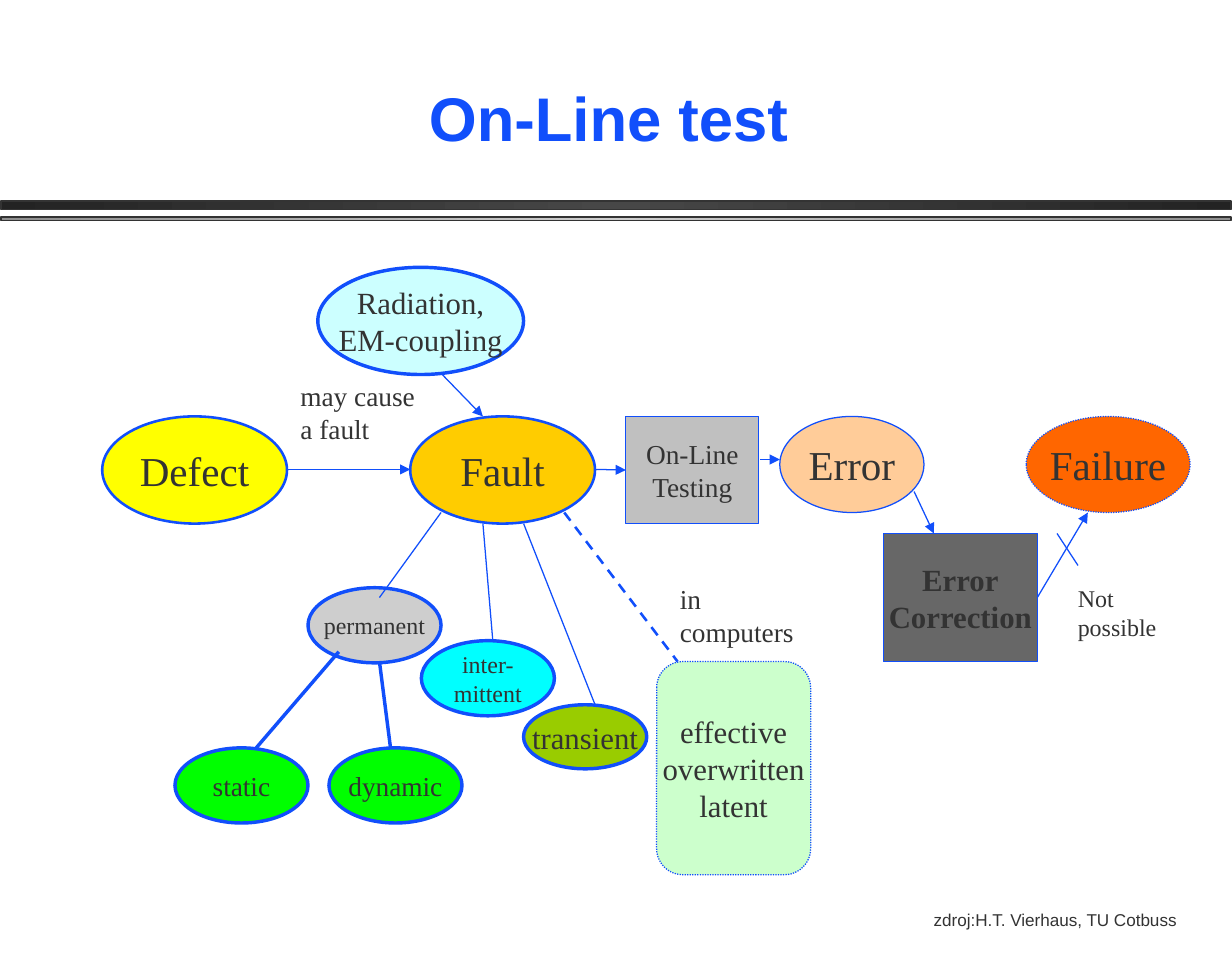
"""Build the On-Line test slide: a chain from defect to failure with kinds of fault."""
from lxml import etree
from pptx import Presentation
from pptx.dml.color import RGBColor
from pptx.enum.dml import MSO_LINE
from pptx.enum.shapes import MSO_CONNECTOR, MSO_SHAPE
from pptx.enum.text import MSO_ANCHOR, PP_ALIGN
from pptx.oxml.ns import qn
from pptx.util import Inches, Pt

OVAL, RECT, ROUNDED = MSO_SHAPE.OVAL, MSO_SHAPE.RECTANGLE, MSO_SHAPE.ROUNDED_RECTANGLE
STRAIGHT = MSO_CONNECTOR.STRAIGHT
DOT, DASH = MSO_LINE.ROUND_DOT, MSO_LINE.DASH
LEFT, CENTER = PP_ALIGN.LEFT, PP_ALIGN.CENTER
TOP, MIDDLE, BOTTOM = MSO_ANCHOR.TOP, MSO_ANCHOR.MIDDLE, MSO_ANCHOR.BOTTOM
LEFT_SIDE, RIGHT_SIDE = 1, 3
BLUE, INK = "114FFB", "333333"
SERIF, SANS = "Times New Roman", "Arial"

TITLE = "On-Line test"
BANDS = [(1.63, 0.07, "232323", "474747"), (1.76, 0.03, "909090", "CECECE")]

BIG, SMALL = (1.5, 0.87), (1.08, 0.61)
NODES = [
    (["Defect"], OVAL, (0.83, 3.38), BIG, "FFFF00", 1.5, None, 24),
    (["Fault"], OVAL, (3.33, 3.38), BIG, "FFCC00", 1.5, None, 24),
    (["permanent"], OVAL, (2.5, 4.77), SMALL, "CECECE", 2, None, 14),
    (["inter-", "mittent"], OVAL, (3.42, 5.2), SMALL, "00FFFF", 2, None, 14),
    (["static"], OVAL, (1.42, 6.07), SMALL, "00FF00", 2, None, 16),
    (["dynamic"], OVAL, (2.67, 6.07), SMALL, "00FF00", 2, None, 16),
    (["Failure"], OVAL, (8.33, 3.38), (1.33, 0.78), "FF6600", 0.75, DOT, 24),
    (["effective", "overwritten", "latent"], ROUNDED, (5.33, 5.37), (1.25, 1.73),
     "CCFFCC", 0.75, DOT, 18),
    (["Radiation,", "EM-coupling"], OVAL, (2.58, 2.17), (1.67, 0.87), "CCFFFF", 2, None, 18),
    (["transient"], OVAL, (4.25, 5.72), (1, 0.52), "99CC00", 2, None, 18),
    (["On-Line", "Testing"], RECT, (5.08, 3.38), (1.08, 0.87), "C0C0C0", 0.75, None, 16),
    (["Error", "Correction"], RECT, (7.17, 4.33), (1.25, 1.04), "676767", 0.75, None, 18),
    (["Error"], OVAL, (6.33, 3.38), (1.17, 0.78), "FFCC99", 0.75, None, 24),
]
BOLD_NODE = "Error Correction"

ARROWS = [
    ((2.33, 3.81), (3.33, 3.81)),
    ((3.58, 3.03), (3.92, 3.38)),
    ((6.17, 3.73), (6.33, 3.73)),
    ((7.42, 3.99), (7.58, 4.33)),
]
LINES = [
    ((3.58, 4.16), (3.08, 4.85), 0.75, None),
    ((3.92, 4.25), (4, 5.2), 0.75, None),
    ((4.25, 4.25), (4.83, 5.72), 0.75, None),
    ((2.75, 5.29), (2.08, 6.07), 2, None),
    ((3.08, 5.37), (3.17, 6.07), 2, None),
    ((4.58, 4.16), (5.5, 5.37), 1.5, DASH),
    ((8.58, 4.33), (8.75, 4.59), 0.75, None),
]
LABELS = [
    (["may cause", "a fault"], (2.34, 3.03), (1.13, 0.64), 16, SERIF),
    (["in", "computers"], (5.42, 4.68), (1.12, 0.64), 16, SERIF),
    (["Not", "possible"], (8.65, 4.69), (0.84, 0.57), 14, SERIF),
    (["zdroj:H.T. Vierhaus, TU Cotbuss"], (7.48, 7.33), (2.52, 0.47), 10, SANS),
]


def color(value):
    return RGBColor.from_string(value)


def write(frame, rows, size, font=SERIF, ink=INK, align=CENTER, anchor=MIDDLE, bold=False):
    frame.word_wrap = False
    frame.vertical_anchor = anchor
    for number, row in enumerate(rows):
        para = frame.add_paragraph() if number else frame.paragraphs[0]
        para.alignment = align
        span = para.add_run()
        span.text = row
        span.font.name, span.font.size, span.font.bold = font, Pt(size), bold
        span.font.color.rgb = color(ink)


def style_line(line, width, dash=None, ink=BLUE):
    line.color.rgb = color(ink)
    line.width = Pt(width)
    if dash:
        line.dash_style = dash


def add_band(page, top, height, edge, middle):
    band = page.shapes.add_shape(RECT, Inches(0.01), Inches(top), Inches(9.98), Inches(height))
    band.shadow.inherit = False
    style_line(band.line, 1, ink=INK)
    band.fill.gradient()
    band.fill.gradient_angle = 0
    stops = band.element.spPr.find(".//" + qn("a:gsLst"))
    for stop in list(stops):
        stops.remove(stop)
    for position, value in ((0, edge), (50000, middle), (100000, edge)):
        stop = etree.SubElement(stops, qn("a:gs"), pos=str(position))
        etree.SubElement(stop, qn("a:srgbClr"), val=value)


def add_node(page, rows, kind, place, extent, fill, width, dash, size):
    node = page.shapes.add_shape(kind, *map(Inches, place + extent))
    node.shadow.inherit = False
    node.fill.solid()
    node.fill.fore_color.rgb = color(fill)
    style_line(node.line, width, dash)
    if kind == ROUNDED:
        node.adjustments[0] = 0.17
    write(node.text_frame, rows, size, bold=" ".join(rows) == BOLD_NODE)
    return node


def add_line(page, start, end, width=0.75, dash=None, arrow=False):
    link = page.shapes.add_connector(STRAIGHT, *map(Inches, start + end))
    style_line(link.line, width, dash)
    if arrow:
        etree.SubElement(link.line._get_or_add_ln(), qn("a:tailEnd"), type="triangle")
    etree.SubElement(link.element.spPr, qn("a:effectLst"))
    return link


def main():
    deck = Presentation()
    deck.slide_width, deck.slide_height = Inches(10), Inches(7.8)
    page = deck.slides.add_slide(deck.slide_layouts[5])

    for band in BANDS:
        add_band(page, *band)

    title = page.shapes.title
    title.left, title.top, title.width, title.height = map(Inches, (0.69, 0, 8.5, 1.3))
    write(title.text_frame, [TITLE], 36, SANS, BLUE, anchor=BOTTOM, bold=True)

    nodes = {" ".join(node[0]): add_node(page, *node) for node in NODES}
    for start, end in ARROWS:
        add_line(page, start, end, arrow=True)
    for line in LINES:
        add_line(page, *line)

    to_testing = add_line(page, (4.83, 3.81), (5.08, 3.81), arrow=True)
    to_testing.end_connect(nodes["On-Line Testing"], LEFT_SIDE)
    to_failure = add_line(page, (8.42, 4.85), (8.83, 4.16), arrow=True)
    to_failure.begin_connect(nodes["Error Correction"], RIGHT_SIDE)

    for rows, place, extent, size, font in LABELS:
        box = page.shapes.add_textbox(*map(Inches, place + extent))
        write(box.text_frame, rows, size, font, align=LEFT, anchor=TOP)

    deck.save("out.pptx")


if __name__ == "__main__":
    main()
